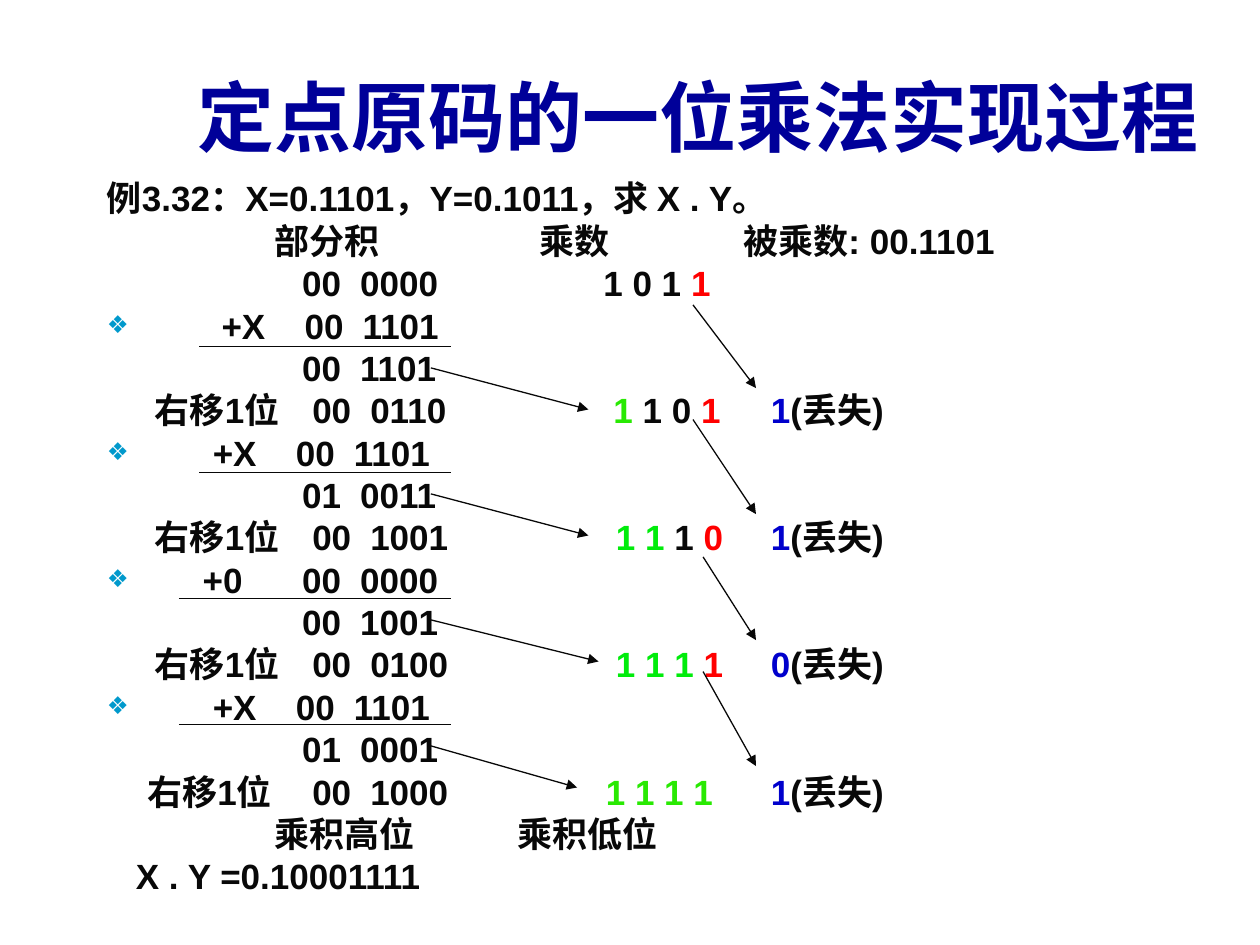
from lxml.etree import SubElement
from pptx import Presentation
from pptx.dml.color import RGBColor
from pptx.enum.shapes import MSO_CONNECTOR as Connector
from pptx.enum.text import MSO_ANCHOR as Anchor, PP_ALIGN as Align
from pptx.oxml.ns import qn
from pptx.util import Inches, Pt

COLORS = {
    "title": "000099", "text": "080808", "bullet": "0099CC", "red": "FF0000",
    "blue": "0000CC", "green": "29E903", "bright": "00EC0B",
}
FONT = "Arial"
DIGIT_STEP = 0.46


def add_box(slide, left, top, width, height, anchor=Anchor.TOP):
    """Add a wrapping text box and return its text frame."""
    frame = slide.shapes.add_textbox(
        Inches(left), Inches(top), Inches(width), Inches(height)).text_frame
    frame.word_wrap = True
    frame.vertical_anchor = anchor
    return frame


def add_run(paragraph, text, color="text", size=20):
    """Append one bold run in the given colour and size."""
    run = paragraph.add_run()
    run.text = text
    run.font.name = FONT
    run.font.size = Pt(size)
    run.font.bold = True
    run.font.color.rgb = RGBColor.from_string(COLORS[color])


def add_bullet(properties):
    """Give a paragraph the diamond bullet."""
    color = SubElement(properties, qn("a:buClr"))
    SubElement(color, qn("a:srgbClr"), val=COLORS["bullet"])
    SubElement(properties, qn("a:buSzPct"), val="70000")
    SubElement(properties, qn("a:buFont"), typeface=FONT)
    SubElement(properties, qn("a:buChar"), char="❖")


def add_line(paragraph, runs, stops=(), bullet=False):
    """Fill a paragraph with runs whose columns start at the tab stops."""
    paragraph.line_spacing = 0.8
    paragraph.space_before = Pt(5)
    properties = paragraph._p.get_or_add_pPr()
    if bullet:
        add_bullet(properties)
    if stops:
        tabs = SubElement(properties, qn("a:tabLst"))
        for stop in stops:
            SubElement(tabs, qn("a:tab"), pos=str(Inches(stop)), algn="l")
    for text, *color in runs:
        add_run(paragraph, text, *color)


def add_connector(slide, start, end, arrow=False):
    """Draw a thin straight line, with an arrowhead at its end if asked."""
    connector = slide.shapes.add_connector(
        Connector.STRAIGHT, *(Inches(value) for value in (*start, *end)))
    connector.line.color.rgb = RGBColor.from_string(COLORS["text"])
    connector.line.width = Pt(0.75)
    if arrow:
        SubElement(connector.line._get_or_add_ln(), qn("a:tailEnd"), type="triangle")
    SubElement(connector._element.spPr, qn("a:effectLst"))


def sum_line(high, low):
    """Return a line with a partial product only."""
    return [(f"\t{high}\t{low}",)], (1.55, 1.55 + DIGIT_STEP), False


def addend_line(sign, low, sign_at, digits_at):
    """Return a bulleted line with the number to be added."""
    stops = (sign_at, digits_at, digits_at + DIGIT_STEP)
    return [(f"\t{sign}\t00\t{low}",)], stops, True


def shift_line(low, bits, lost, label_at=0.38, bits_at=4.04):
    """Return a line with the shifted product, the multiplier and the lost bit."""
    runs = [(f"\t右移1位\t00\t{low}\t",), *bits, ("\t",), (lost, "blue"), ("(丢失)",)]
    return runs, (label_at, 1.63, 1.63 + DIGIT_STEP, bits_at, 5.27), False


def add_calculation(slide):
    """Write the worked example, one paragraph per step."""
    lines = [
        ([("例3.32：X=0.1101，Y=0.1011，求 X . Y。",)], (), False),
        ([("\t部分积\t乘数\t被乘数: 00.1101",)], (1.33, 3.43, 5.05), False),
        ([("\t00\t0000\t1 0 1 ",), ("1", "red")],
         (1.55, 1.55 + DIGIT_STEP, 3.94), False),
        addend_line("+X", "1101", 0.91, 1.57),
        sum_line("00", "1101"),
        shift_line("0110", [("1", "green"), (" 1 0",), (" 1", "red")], "1", bits_at=4.02),
        addend_line("+X", "1101", 0.84, 1.5),
        sum_line("01", "0011"),
        shift_line("1001", [("1 1", "bright"), (" 1 ",), ("0", "red")], "1"),
        addend_line("+0", "0000", 0.76, 1.55),
        sum_line("00", "1001"),
        shift_line("0100", [("1 1 1 ", "bright"), ("1", "red")], "0"),
        addend_line("+X", "1101", 0.84, 1.5),
        sum_line("01", "0001"),
        shift_line("1000", [("1 1 1 1", "green")], "1", label_at=0.32, bits_at=3.96),
        ([("\t乘积高位\t乘积低位",)], (1.33, 3.26), False),
        ([("\tX . Y =0.10001111",)], (0.23,), False),
    ]
    frame = add_box(slide, 0.75, 1.42, 8.75, 5.83)
    for index, line in enumerate(lines):
        paragraph = frame.add_paragraph() if index else frame.paragraphs[0]
        add_line(paragraph, *line)


def add_step_lines(slide):
    """Draw the sum rule and the two shift arrows of each step."""
    steps = [
        (1.58, (5.5, 2.42), 4.67),
        (1.58, (5.5, 3.33), 4.67),
        (1.42, (5.58, 4.42), 4.75),
        (1.42, (5.58, 5.33), 4.58),
    ]
    for row, (rule_left, lost_start, shift_right) in enumerate(steps):
        add_connector(slide, (rule_left, 2.75 + row), (3.58, 2.75 + row))
        add_connector(slide, lost_start, (6, 3.08 + row), arrow=True)
        add_connector(slide, (3.42, 2.92 + row), (shift_right, 3.25 + row), arrow=True)


def main():
    """Build the slide and save it."""
    presentation = Presentation()
    presentation.slide_width = Inches(10)
    presentation.slide_height = Inches(7.5)
    slide = presentation.slides.add_slide(presentation.slide_layouts[6])
    title = add_box(slide, 1.42, 0.42, 8.25, 1, Anchor.MIDDLE).paragraphs[0]
    title.alignment = Align.CENTER
    add_run(title, "定点原码的一位乘法实现过程", "title", 44)
    add_calculation(slide)
    add_step_lines(slide)
    presentation.save("out.pptx")


if __name__ == "__main__":
    main()
